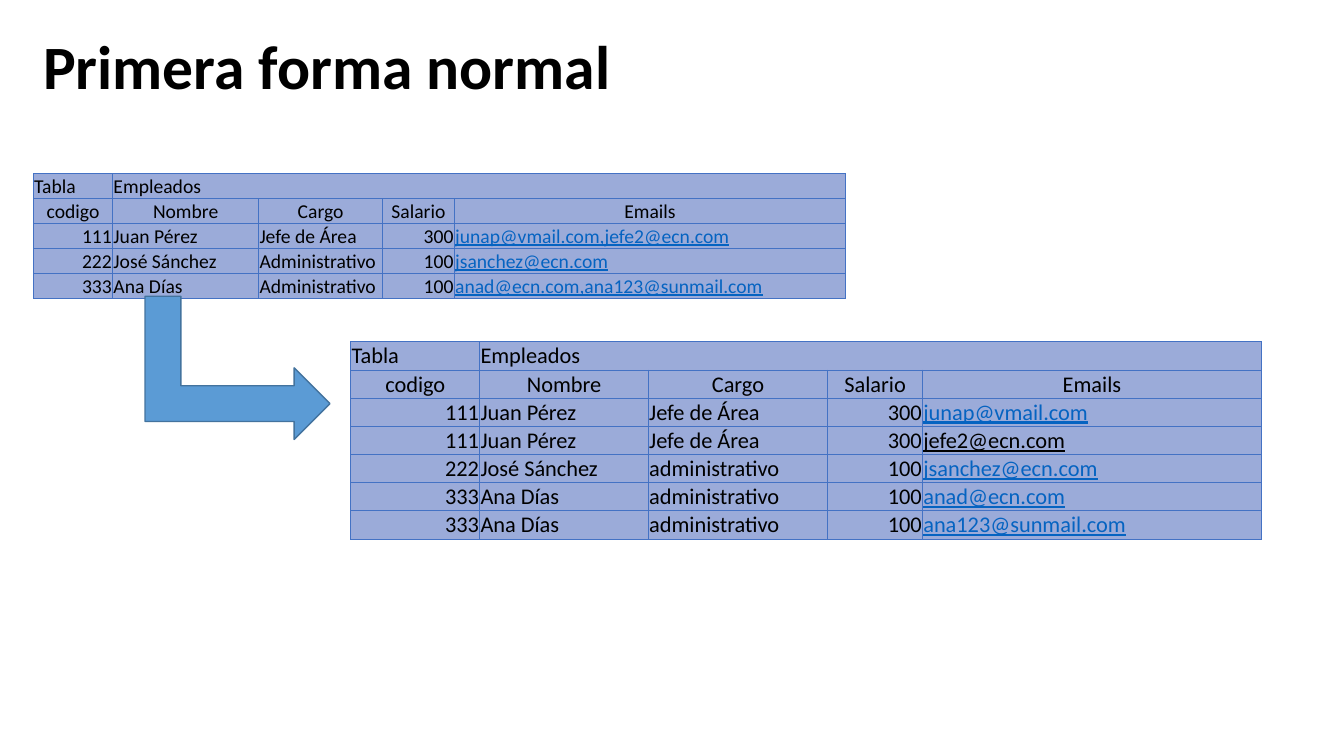
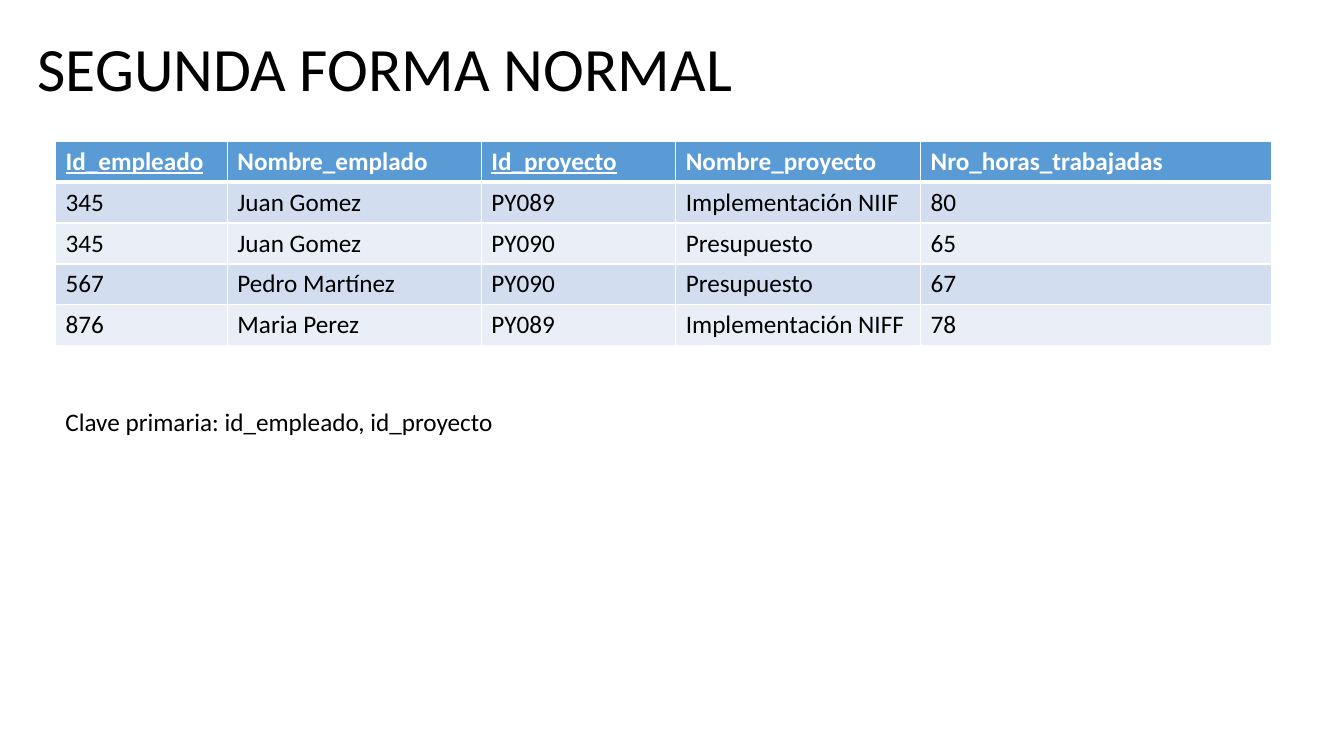
from lxml import etree
from pptx import Presentation
from pptx.dml.color import RGBColor
from pptx.enum.shapes import MSO_SHAPE as Preset
from pptx.enum.text import MSO_ANCHOR as Anchor, MSO_AUTO_SIZE as AutoSize, PP_ALIGN as Align
from pptx.oxml.ns import qn
from pptx.util import Cm, Pt

COLORS = {
    "text": "000000",
    "white": "FFFFFF",
    "link": "0563C1",
    "sheet": "9BABD9",
    "sheet_edge": "4472C4",
    "accent": "5B9BD5",
    "accent_edge": "43739E",
    "band_dark": "D2DEEF",
    "band_light": "EAEFF7",
}
FONT = "Calibri"


def rgb(name):
    return RGBColor.from_string(COLORS[name])


class Deck:
    """Holds the shared style and the slide being built."""

    def __init__(self):
        self.deck = Presentation()
        self.deck.slide_width, self.deck.slide_height = Cm(33.87), Cm(19.05)
        self.page = None

    def new_page(self):
        self.page = self.deck.slides.add_slide(self.deck.slide_layouts[6])

    def style(self, para, size, color="text", bold=False, underline=False):
        for span in para.runs:
            span.font.name, span.font.size = FONT, Pt(size)
            span.font.bold, span.font.underline = bold, underline
            span.font.color.rgb = rgb(color)

    def text(self, words, left, top, width, height, size=18, bold=False, wrap=True):
        box = self.page.shapes.add_textbox(Cm(left), Cm(top), Cm(width), Cm(height))
        box.text_frame.word_wrap = wrap
        box.text_frame.text = words
        self.style(box.text_frame.paragraphs[0], size, bold=bold)
        return box

    def title(self, words, left, top, width, height, bold=False):
        frame = self.text(words, left, top, width, height, size=44, bold=bold).text_frame
        frame.vertical_anchor = Anchor.MIDDLE
        frame.paragraphs[0].line_spacing = 0.9

    def note(self, words, left, top, width, height):
        box = self.text(words, left, top, width, height, wrap=False)
        box.text_frame.auto_size = AutoSize.SHAPE_TO_FIT_TEXT

    def table(self, rows, left, top, widths, row_height):
        frame = self.page.shapes.add_table(
            len(rows), len(widths), Cm(left), Cm(top),
            Cm(sum(widths)), Cm(row_height * len(rows)))
        table = frame.table
        table.first_row = table.horz_banding = False
        for column, width in zip(table.columns, widths):
            column.width = Cm(width)
        for row, values in zip(table.rows, rows):
            row.height = Cm(row_height)
            for cell, value in zip(row.cells, values):
                cell.text = value
        return table

    def paint(self, cell, fill, edge, width, **special):
        """Fill a cell and draw its borders; special gives widths by side (L, R, T, B)."""
        cell.fill.solid()
        cell.fill.fore_color.rgb = rgb(fill)
        props = cell._tc.get_or_add_tcPr()
        for place, side in enumerate("LRTB"):
            line = etree.Element(qn(f"a:ln{side}"), w=str(Pt(special.get(side, width))))
            solid = etree.SubElement(line, qn("a:solidFill"))
            etree.SubElement(solid, qn("a:srgbClr"), val=COLORS[edge])
            props.insert(place, line)

    def sheet_table(self, records, left, top, widths, row_height, size, plain=()):
        """Spreadsheet look; addresses listed in plain keep the text colour."""
        rows = [["Tabla", "Empleados"],
                ["codigo", "Nombre", "Cargo", "Salario", "Emails"], *records]
        table = self.table(rows, left, top, widths, row_height)
        for number, row in enumerate(table.rows):
            for cell in row.cells:
                self.paint(cell, "sheet", "sheet_edge", 0.5)
                cell.margin_left = cell.margin_right = cell.margin_top = Cm(0.02)
                cell.margin_bottom = 0
                cell.vertical_anchor = Anchor.BOTTOM
                para = cell.text_frame.paragraphs[0]
                if number == 1:
                    para.alignment = Align.CENTER
                elif cell.text.isdigit():
                    para.alignment = Align.RIGHT
                address = "@" in cell.text
                color = "link" if address and cell.text not in plain else "text"
                self.style(para, size, color, underline=address)
        table.cell(0, 1).merge(table.cell(0, len(widths) - 1))

    def banded_table(self, header, records, left, top, widths, row_height, keys):
        """Coloured header with underlined key columns, then alternating bands."""
        table = self.table([header, *records], left, top, widths, row_height)
        for number, row in enumerate(table.rows):
            for cell in row.cells:
                para = cell.text_frame.paragraphs[0]
                if number == 0:
                    self.paint(cell, "accent", "white", 1, B=3)
                    self.style(para, 18, "white", bold=True, underline=cell.text in keys)
                else:
                    band = "band_dark" if number % 2 else "band_light"
                    self.paint(cell, band, "white", 1, T=3 if number == 1 else 1)
                    self.style(para, 18)

    def bent_arrow(self, left, top, width, height):
        arrow = self.page.shapes.add_shape(
            Preset.BENT_UP_ARROW, Cm(left), Cm(top), Cm(width), Cm(height))
        arrow.rotation = 90
        arrow.shadow.inherit = False
        arrow.fill.solid()
        arrow.fill.fore_color.rgb = rgb("accent")
        arrow.line.color.rgb = rgb("accent_edge")
        arrow.line.width = Pt(1)


def first_form(deck):
    deck.new_page()
    deck.title("Primera forma normal", 0.84, 0.1, 27.94, 3.3, bold=True)
    # Several addresses in one cell
    deck.sheet_table([
        ["111", "Juan Pérez", "Jefe de Área", "300", "junap@vmail.com,jefe2@ecn.com"],
        ["222", "José Sánchez", "Administrativo", "100", "jsanchez@ecn.com"],
        ["333", "Ana Días", "Administrativo", "100", "anad@ecn.com,ana123@sunmail.com"],
    ], 0.84, 4.37, [2.0, 3.68, 3.12, 1.81, 9.86], 0.63, 14)
    # One address per row
    deck.sheet_table([
        ["111", "Juan Pérez", "Jefe de Área", "300", "junap@vmail.com"],
        ["111", "Juan Pérez", "Jefe de Área", "300", "jefe2@ecn.com"],
        ["222", "José Sánchez", "administrativo", "100", "jsanchez@ecn.com"],
        ["333", "Ana Días", "administrativo", "100", "anad@ecn.com"],
        ["333", "Ana Días", "administrativo", "100", "ana123@sunmail.com"],
    ], 8.84, 8.61, [3.25, 4.25, 4.52, 2.39, 8.54], 0.71, 16, plain=("jefe2@ecn.com",))
    deck.bent_arrow(4.18, 6.94, 3.61, 4.66)


def second_form(deck):
    deck.new_page()
    deck.title("SEGUNDA FORMA NORMAL", 0.7, 0.64, 29.21, 2.31)
    # Hours by employee and project
    deck.banded_table(
        ["Id_empleado", "Nombre_emplado", "Id_proyecto", "Nombre_proyecto",
         "Nro_horas_trabajadas"],
        [["345", "Juan Gomez", "PY089", "Implementación NIIF", "80"],
         ["345", "Juan Gomez", "PY090", "Presupuesto", "65"],
         ["567", "Pedro Martínez", "PY090", "Presupuesto", "67"],
         ["876", "Maria Perez", "PY089", "Implementación NIFF", "78"]],
        1.4, 3.56, [4.33, 6.4, 4.9, 6.17, 8.85], 1.03,
        keys=("Id_empleado", "Id_proyecto"))
    deck.note("Clave primaria: id_empleado, id_proyecto", 1.4, 10.12, 11.4, 1.02)


def main():
    deck = Deck()
    first_form(deck)
    second_form(deck)
    deck.deck.save("out.pptx")


if __name__ == "__main__":
    main()
